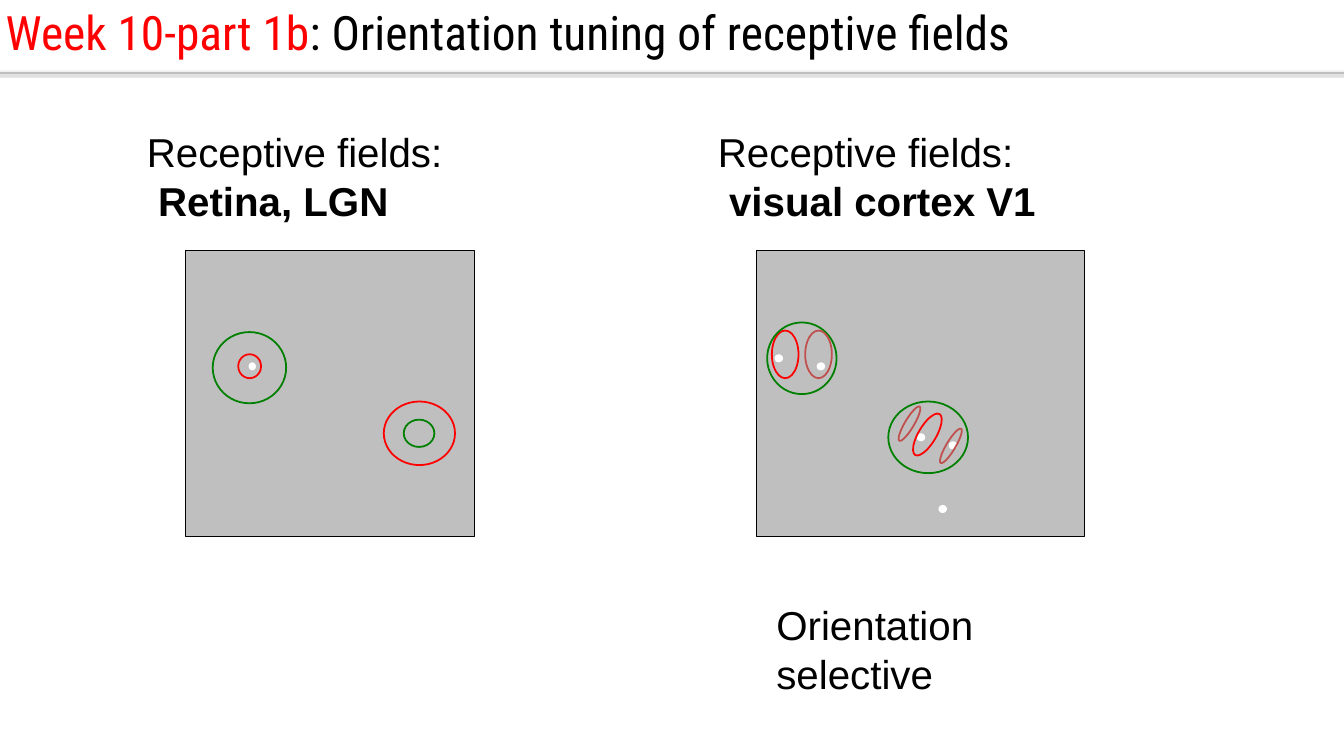
from dataclasses import dataclass

from lxml import etree
from pptx import Presentation
from pptx.dml.color import RGBColor
from pptx.enum import shapes, text
from pptx.oxml import ns
from pptx.util import Cm, Pt


@dataclass(frozen=True)
class Theme:
    """Colours, fonts and sizes of the slide."""
    black: str = "000000"
    white: str = "FFFFFF"
    grey: str = "BFBFBF"
    red: str = "FF0000"
    green: str = "008000"
    rose: str = "C0504D"
    title_font: str = "Roboto Condensed"
    body_font: str = "Arial"
    title_size: float = 60
    body_size: float = 51
    outline: float = 2.25
    frame: float = 0.75
    rule: float = 2


T = Theme()
DOT = (0.38, 0.36)
TILT = 30.7


def write(p, words, font=T.body_font, size=T.body_size, color=T.black, bold=False):
    """Add a formatted run to a paragraph."""
    r = p.add_run()
    r.text = words
    r.font.name, r.font.size, r.font.bold = font, Pt(size), bold
    r.font.color.rgb = RGBColor.from_string(color)


def draw(parent, kind, box, fill=None, line=None, width=T.outline, tilt=0):
    """Draw a preset shape in a box given in centimetres."""
    sp = parent.add_shape(kind, *map(Cm, box))
    sp.shadow.inherit = False
    sp.rotation = tilt
    if fill:
        sp.fill.solid()
        sp.fill.fore_color.rgb = RGBColor.from_string(fill)
    else:
        sp.fill.background()
    if line:
        sp.line.color.rgb = RGBColor.from_string(line)
        sp.line.width = Pt(width)
    else:
        sp.line.fill.background()


def text_box(s, box, lines):
    """Place a text box whose lines are lists of (words, bold) pairs."""
    tf = s.shapes.add_textbox(*map(Cm, box)).text_frame
    tf.word_wrap = True
    tf.margin_left = tf.margin_right = Cm(0.53)
    tf.margin_top = tf.margin_bottom = Cm(0.28)
    for i, line in enumerate(lines):
        p = tf.add_paragraph() if i else tf.paragraphs[0]
        for words, bold in line:
            write(p, words, bold=bold)


def ovals(parent, box, items):
    """Draw ovals at offsets from the corner of a box."""
    left, top = box[:2]
    for x, y, w, h, style in items:
        draw(parent, shapes.MSO_SHAPE.OVAL, (left + x, top + y, w, h), **style)


def panel(s, box, area, heading_width):
    """Draw a visual field with its two-line heading above."""
    left, top = box[:2]
    draw(s.shapes, shapes.MSO_SHAPE.RECTANGLE, box, T.grey, T.black, T.frame)
    text_box(s, (left - 2.25, top - 5.79, heading_width, 4.9),
             [[("Receptive fields:", False)], [(" ", False), (area, True)]])


def retina(s, box):
    """Draw the concentric fields of retina and LGN."""
    panel(s, box, "Retina, LGN", 16.79)
    red, green = {"line": T.red}, {"line": T.green}
    ovals(s.shapes, box, [
        (2.36, 4.62, 1.02, 1.07, red),
        (1.22, 3.63, 3.28, 3.18, green)])
    ovals(s.shapes.add_group_shape().shapes, box, [
        (9.75, 7.54, 1.37, 1.22, green),
        (8.86, 6.73, 3.18, 2.84, red)])
    ovals(s.shapes, box, [(2.82, 4.98, 0.33, 0.36, {"fill": T.white})])


def cortex(s, box):
    """Draw the oriented fields of V1 with the caption below."""
    panel(s, box, "visual cortex V1", 20.55)
    red, green, rose = ({"line": c} for c in (T.red, T.green, T.rose))
    dots = [(8.13, 11.35), (0.81, 4.62), (2.69, 4.98), (8.59, 8.51), (7.16, 8.15)]
    ovals(s.shapes, box, [
        (0.69, 3.56, 1.19, 2.13, red),
        (0.48, 3.2, 3.1, 3.2, green),
        *((*at, *DOT, {"fill": T.white}) for at in dots),
        (2.18, 3.56, 1.19, 2.13, rose),
        (5.89, 6.73, 3.56, 3.2, green),
        (7.24, 7.14, 0.79, 2.13, {**red, "tilt": TILT}),
        (8.48, 7.82, 0.41, 1.78, {**rose, "tilt": TILT}),
        (6.63, 6.83, 0.41, 1.78, {**rose, "tilt": TILT})])
    text_box(s, (box[0] + 0.36, box[1] + 15.34, 14.71, 4.9),
             [[("Orientation selective", False)]])


def header(s, box):
    """Place the title and the shadowed rule beneath it."""
    left, top, width, height = box
    y = Cm(top + 3.25)
    rule = s.shapes.add_connector(shapes.MSO_CONNECTOR.STRAIGHT,
                                  Cm(left - 0.6), y, Cm(left + 61.77), y)
    rule.line.color.rgb = RGBColor.from_string(T.grey)
    rule.line.width = Pt(T.rule)
    effects = etree.SubElement(rule._element.spPr, ns.qn("a:effectLst"))
    shadow = etree.SubElement(effects, ns.qn("a:outerShdw"), blurRad=str(Pt(3.1)),
                              dist=str(Pt(1.6)), dir="5400000", rotWithShape="0")
    color = etree.SubElement(shadow, ns.qn("a:srgbClr"), val=T.black)
    etree.SubElement(color, ns.qn("a:alpha"), val="38000")

    title = s.shapes.title
    title.left, title.top, title.width, title.height = map(Cm, box)
    tf = title.text_frame
    tf.word_wrap = True
    tf.auto_size = text.MSO_AUTO_SIZE.NONE
    tf.vertical_anchor = text.MSO_ANCHOR.TOP
    p = tf.paragraphs[0]
    p.alignment = text.PP_ALIGN.LEFT
    p.space_after = Pt(28.4)
    look = {"font": T.title_font, "size": T.title_size}
    write(p, "Week 10-part 1b", color=T.red, **look)
    write(p, ": Orientation tuning of receptive fields", **look)


def main():
    """Build and save the slide."""
    prs = Presentation()
    prs.slide_width, prs.slide_height = Cm(60.02), Cm(33.76)
    s = prs.slides.add_slide(prs.slide_layouts[5])
    retina(s, (8.28, 11.2, 12.9, 12.75))
    cortex(s, (33.78, 11.2, 14.66, 12.75))
    header(s, (0, 0, 57.94, 4.09))
    prs.save("out.pptx")


if __name__ == "__main__":
    main()
